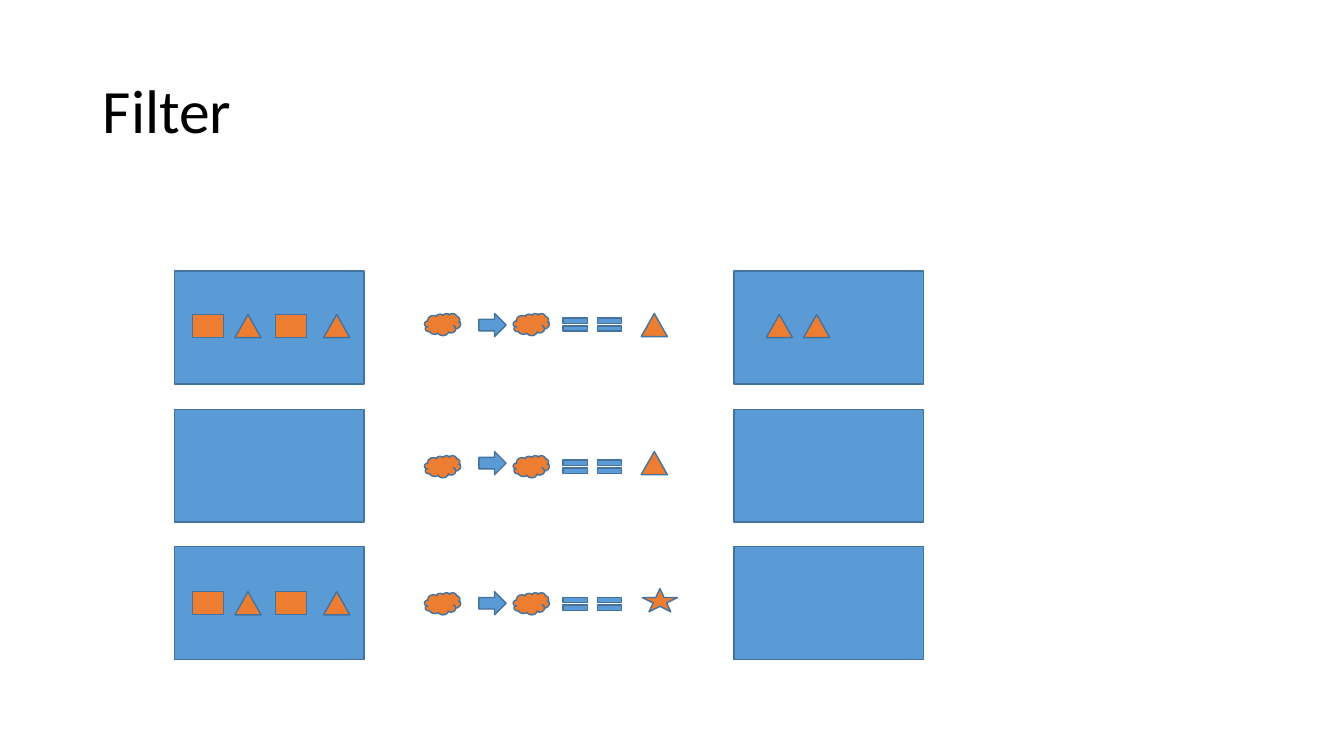
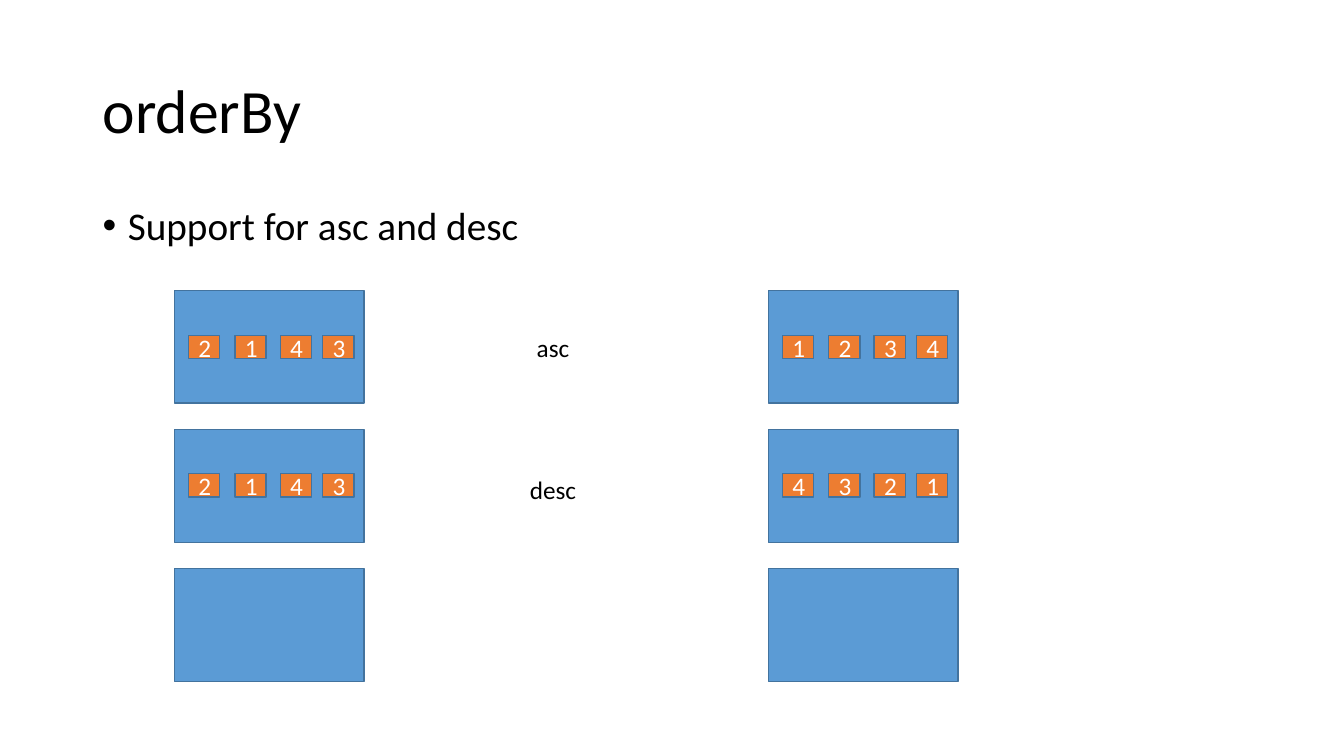
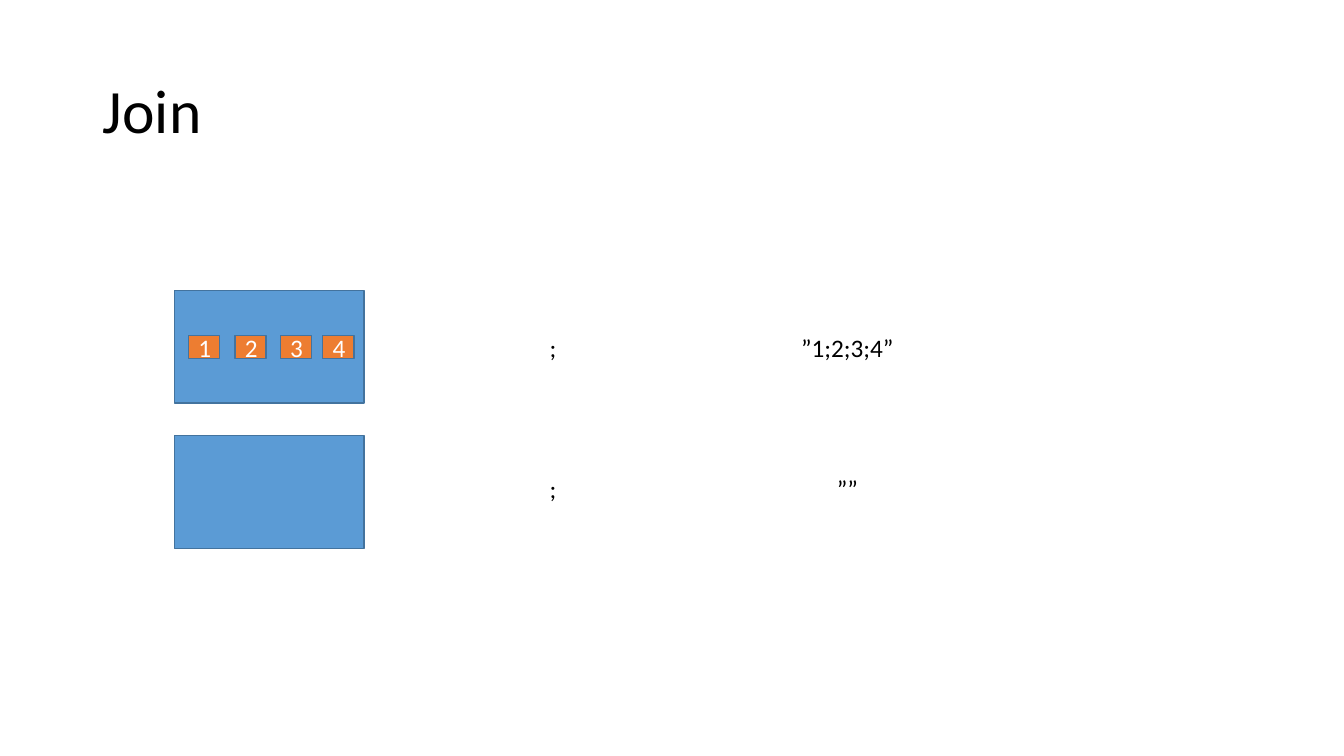
import dataclasses

import pptx
import pptx.dml.color
import pptx.enum.shapes
import pptx.enum.text
import pptx.util
from lxml import etree

PX = 9144  # EMU in one px, 100 px to the inch
KIND = pptx.enum.shapes.MSO_SHAPE
ALIGN = pptx.enum.text.PP_ALIGN
MIDDLE = pptx.enum.text.MSO_ANCHOR.MIDDLE


@dataclasses.dataclass(frozen=True)
class Theme:
    font: str = "Calibri"
    blue: str = "5B9BD5"
    orange: str = "ED7D31"
    outline: str = "43739E"
    white: str = "FFFFFF"
    black: str = "000000"
    title_size: int = 44
    body_size: int = 28
    label_size: int = 18


theme = Theme()
rgb = pptx.dml.color.RGBColor.from_string

presentation = pptx.Presentation()
presentation.slide_width = 1333 * PX
presentation.slide_height = 750 * PX


def write(shape, text, size, color, align):
    """Put one line of text into a shape."""
    shape.text_frame.word_wrap = True
    paragraph = shape.text_frame.paragraphs[0]
    paragraph.alignment = align
    run = paragraph.add_run()
    run.text = text
    run.font.name = theme.font
    run.font.size = pptx.util.Pt(size)
    run.font.color.rgb = rgb(color)
    return paragraph


def draw(slide, kind, box, fill, text=""):
    """Draw a shape; white ones are plain labels without an outline."""
    shape = slide.shapes.add_shape(kind, *[length * PX for length in box])
    shape.shadow.inherit = False
    shape.fill.solid()
    shape.fill.fore_color.rgb = rgb(fill)
    if fill == theme.white:
        shape.line.fill.background()
    else:
        shape.line.color.rgb = rgb(theme.outline)
        shape.line.width = pptx.util.Pt(1)
    if text:
        color = theme.black if fill == theme.white else theme.white
        shape.text_frame.vertical_anchor = MIDDLE
        write(shape, text, theme.label_size, color, ALIGN.CENTER)


# Slides and their titles
slides = []
for heading in ("Filter", "orderBy", "Join"):
    slide = presentation.slides.add_slide(presentation.slide_layouts[5])
    title = slide.shapes.title
    title.left, title.top, title.width, title.height = [
        length * PX for length in (92, 40, 1150, 145)]
    title.text_frame.vertical_anchor = MIDDLE
    paragraph = write(title, heading, theme.title_size, theme.black, ALIGN.LEFT)
    paragraph.line_spacing = 0.9
    slides.append(slide)
filter_slide, order_slide, join_slide = slides

# Measures shared by the diagrams
LIST_LEFT, LIST_WIDTH, LIST_HEIGHT = 173, 188, 112
ITEM_WIDTH, ITEM_HEIGHT = 31, 23
TRIANGLE_WIDTH = 26
LABEL_LEFT, LABEL_WIDTH, LABEL_HEIGHT = 443, 211, 105
NUMBER_OFFSETS = (14, 60, 105, 147)

# Filter: input list, condition and result in each row
mixed = ((KIND.RECTANGLE, 191, ITEM_WIDTH), (KIND.ISOSCELES_TRIANGLE, 233, TRIANGLE_WIDTH),
         (KIND.RECTANGLE, 273, ITEM_WIDTH), (KIND.ISOSCELES_TRIANGLE, 321, TRIANGLE_WIDTH))
matches = ((KIND.ISOSCELES_TRIANGLE, 760, TRIANGLE_WIDTH),
           (KIND.ISOSCELES_TRIANGLE, 797, TRIANGLE_WIDTH))
triangle = (KIND.ISOSCELES_TRIANGLE, 636, TRIANGLE_WIDTH)
star = (KIND.STAR_5_POINT, 637, 35)
filter_rows = (  # list top, arrow top, condition top, target top, target, items
    (269, 311, 311, 311, triangle, mixed + matches),
    (406, 448, 452, 448, triangle, ()),
    (542, 587, 588, 584, star, mixed),
)
for list_top, arrow_top, condition_top, target_top, target, items in filter_rows:
    for left in (LIST_LEFT, 728):
        draw(filter_slide, KIND.RECTANGLE, (left, list_top, LIST_WIDTH, LIST_HEIGHT), theme.blue)
    for kind, left, width in items:
        draw(filter_slide, kind, (left, arrow_top + (list_top == 269), width, ITEM_HEIGHT), theme.orange)
    draw(filter_slide, KIND.RIGHT_ARROW, (475, arrow_top, 27, ITEM_HEIGHT), theme.blue)
    for left in (421, 509):
        draw(filter_slide, KIND.CLOUD, (left, condition_top, 36, 22), theme.orange)
    for left in (554, 588):
        draw(filter_slide, KIND.MATH_EQUAL, (left, condition_top, 33, 22), theme.blue)
    kind, left, width = target
    draw(filter_slide, kind, (left, target_top, width, ITEM_HEIGHT), theme.orange)

# orderBy: bullet line
body = order_slide.shapes.add_textbox(*[length * PX for length in (92, 200, 1150, 60)])
paragraph = write(body, "Support for asc and desc", theme.body_size, theme.black, ALIGN.LEFT)
paragraph.line_spacing = 0.9
properties = paragraph._p.get_or_add_pPr()
properties.set("marL", str(25 * PX))
properties.set("indent", str(-25 * PX))
namespace = "{http://schemas.openxmlformats.org/drawingml/2006/main}"
etree.SubElement(properties, namespace + "buFont").set("typeface", "Arial")
etree.SubElement(properties, namespace + "buChar").set("char", "•")

# orderBy and Join: lists of numbers
number_lists = (  # slide, left, top, number top, numbers
    (order_slide, LIST_LEFT, 288, 333, "2143"),
    (order_slide, 762, 288, 333, "1234"),
    (order_slide, LIST_LEFT, 426, 470, "2143"),
    (order_slide, 762, 426, 470, "4321"),
    (order_slide, LIST_LEFT, 564, 0, ""),
    (order_slide, 762, 564, 0, ""),
    (join_slide, LIST_LEFT, 288, 333, "1234"),
    (join_slide, LIST_LEFT, 432, 0, ""),
)
for slide, left, top, number_top, numbers in number_lists:
    draw(slide, KIND.RECTANGLE, (left, top, LIST_WIDTH, LIST_HEIGHT), theme.blue)
    for offset, number in zip(NUMBER_OFFSETS, numbers):
        draw(slide, KIND.RECTANGLE, (left + offset, number_top, ITEM_WIDTH, ITEM_HEIGHT),
             theme.orange, number)

# orderBy and Join: labels beside the lists
labels = (
    (order_slide, LABEL_LEFT, 292, "asc"),
    (order_slide, LABEL_LEFT, 433, "desc"),
    (join_slide, LABEL_LEFT, 292, ";"),
    (join_slide, LABEL_LEFT, 432, ";"),
    (join_slide, 735, 292, "”1;2;3;4”"),
    (join_slide, 735, 432, "””"),
)
for slide, left, top, text in labels:
    draw(slide, KIND.RECTANGLE, (left, top, LABEL_WIDTH, LABEL_HEIGHT), theme.white, text)

presentation.save("out.pptx")
